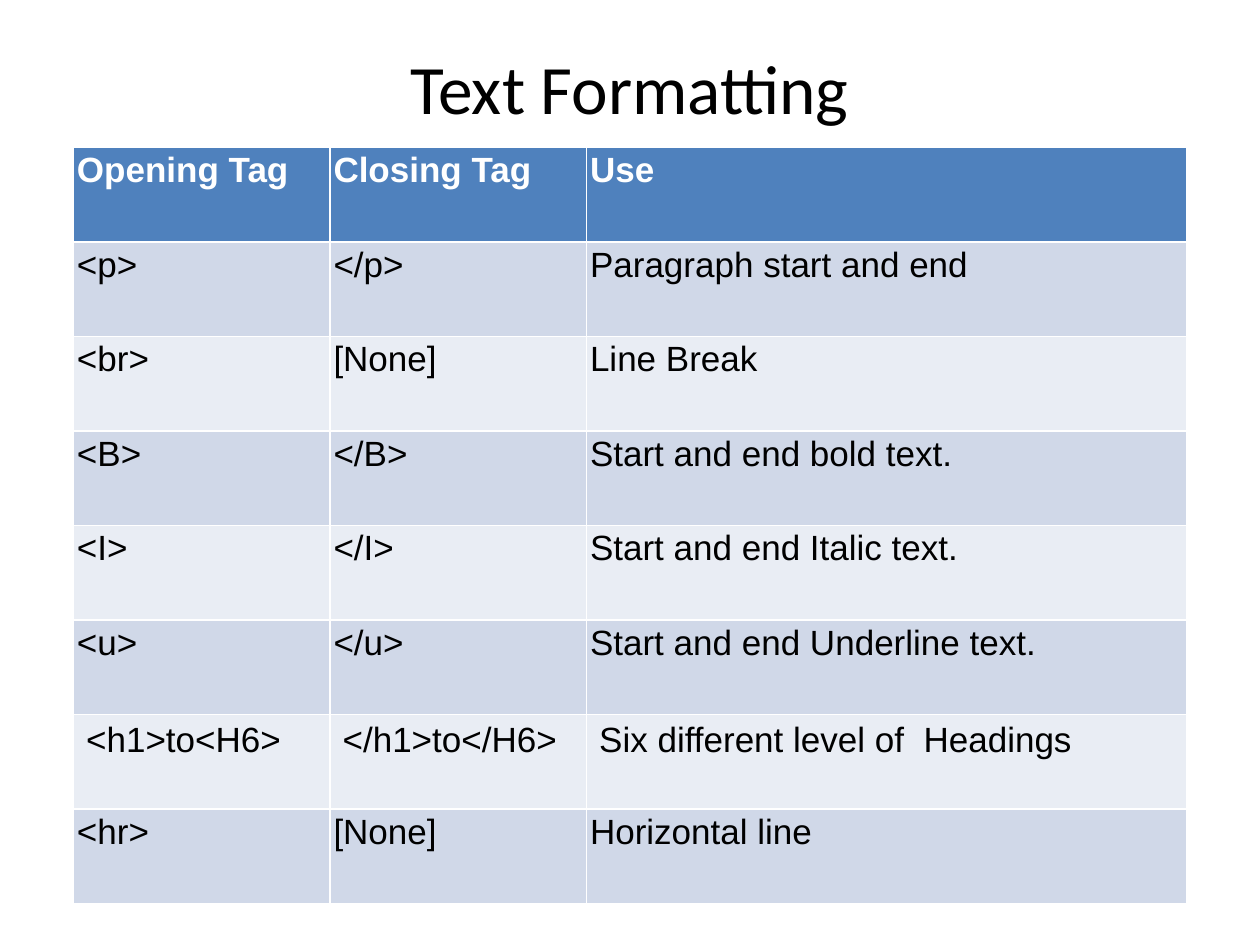
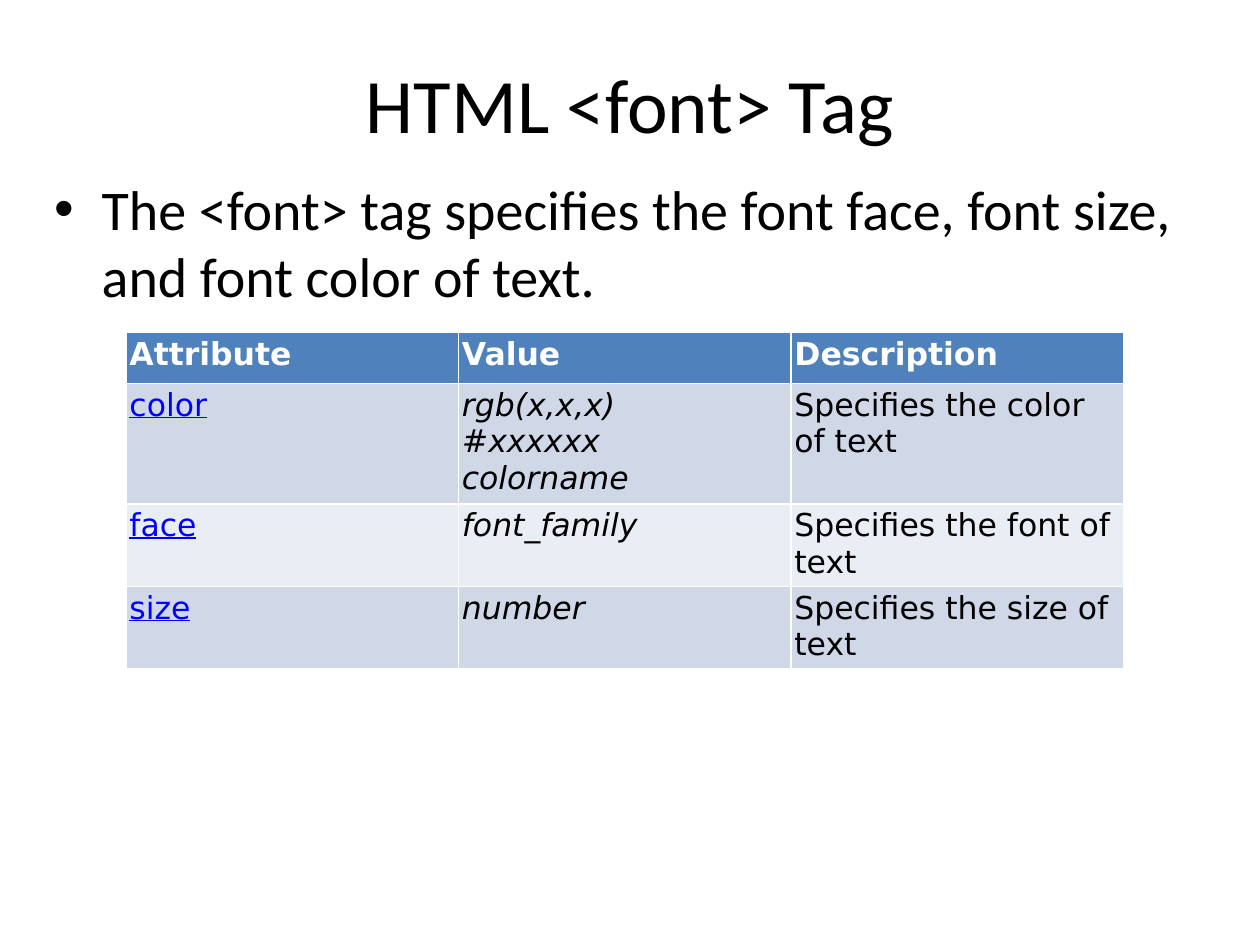
from pptx import Presentation
from pptx.util import Pt
from pptx.dml.color import RGBColor
from pptx.enum.text import PP_ALIGN, MSO_ANCHOR
from lxml.etree import SubElement
from pptx.oxml.ns import qn

BLACK, WHITE, LINK = "000000", "FFFFFF", "0000FF"
HEADER, BANDS = "4F81BD", ["E9EDF4", "D0D8E8"]


def color(value):
    return RGBColor.from_string(value)


def write(para, text, size, font, ink=BLACK, bold=False, italic=False, underline=False):
    for index, line in enumerate(text.split("\n")):
        if index:
            para.add_line_break()
        span = para.add_run()
        span.text = line
        span.font.size = Pt(size)
        span.font.name = font
        span.font.color.rgb = color(ink)
        span.font.bold = bold
        span.font.italic = italic
        span.font.underline = underline


formatting_tags = [
    ["Opening Tag", "Closing Tag", "Use"],
    ["<p>", "</p>", "Paragraph start and end"],
    ["<br>", "[None]", "Line Break"],
    ["<B>", "</B>", "Start and end bold text."],
    ["<I>", "</I>", "Start and end Italic text."],
    ["<u>", "</u>", "Start and end Underline text."],
    ["<h1>to<H6>", "</h1>to</H6>", "Six different level of \u00a0Headings"],
    ["<hr>", "[None]", "Horizontal line"],
]
font_attributes = [
    ["Attribute", "Value", "Description"],
    ["color", "rgb(x,x,x)\n#xxxxxx\ncolorname", "Specifies the color of text"],
    ["face", "font_family", "Specifies the font of text"],
    ["size", "number", "Specifies the size of text"],
]
plain = [{}, {}, {}]
reference = [{"ink": LINK, "underline": True}, {"italic": True}, {}]

pages = [
    {"title": "Text Formatting", "title_size": 39.6, "title_height": 56, "intro": None,
     "rows": formatting_tags, "left": 42, "top": 84.4, "columns": [146.6, 146.6, 342.8],
     "row_height": 54, "size": 20, "font": "Arial", "styles": plain, "roomy_row": 6},
    {"title": "HTML\u00a0<font>\u00a0Tag", "title_size": 44, "title_height": 74,
     "intro": "The <font> tag specifies the font face, font size, and font color of text.",
     "rows": font_attributes, "left": 72, "top": 190, "columns": [190, 190, 190],
     "row_height": 29.2, "size": 18, "font": "DejaVu Sans", "styles": reference,
     "roomy_row": None},
]

deck = Presentation()
deck.slide_width, deck.slide_height = Pt(720), Pt(540)

for content in pages:
    page = deck.slides.add_slide(deck.slide_layouts[6])

    title = page.shapes.add_textbox(Pt(36), Pt(21.6), Pt(648), Pt(content["title_height"]))
    title.text_frame.word_wrap = True
    title.text_frame.vertical_anchor = MSO_ANCHOR.MIDDLE
    para = title.text_frame.paragraphs[0]
    para.alignment = PP_ALIGN.CENTER
    write(para, content["title"], content["title_size"], "Calibri")

    if content["intro"]:
        body = page.shapes.add_textbox(Pt(24), Pt(96), Pt(672), Pt(426))
        body.text_frame.word_wrap = True
        para = body.text_frame.paragraphs[0]
        para.space_before = Pt(6.4)
        props = para._p.get_or_add_pPr()
        props.set("marL", str(Pt(27)))
        props.set("indent", str(Pt(-27)))
        SubElement(props, qn("a:buFont"), typeface="Arial")
        SubElement(props, qn("a:buChar"), char="•")
        write(para, content["intro"], 32, "Calibri")

    rows, columns = content["rows"], content["columns"]
    frame = page.shapes.add_table(
        len(rows), len(columns), Pt(content["left"]), Pt(content["top"]),
        Pt(sum(columns)), Pt(content["row_height"] * len(rows)))
    table = frame.table
    for column, width in zip(table.columns, columns):
        column.width = Pt(width)
    for r, row in enumerate(rows):
        table.rows[r].height = Pt(content["row_height"])
        for c, text in enumerate(row):
            cell = table.cell(r, c)
            cell.fill.solid()
            cell.fill.fore_color.rgb = color(BANDS[r % 2] if r else HEADER)
            if r != content["roomy_row"]:
                cell.margin_left = cell.margin_right = Pt(2)
                cell.margin_top = cell.margin_bottom = Pt(2)
            style = content["styles"][c] if r else {"ink": WHITE, "bold": True}
            write(cell.text_frame.paragraphs[0], text, content["size"], content["font"], **style)

deck.save("out.pptx")
